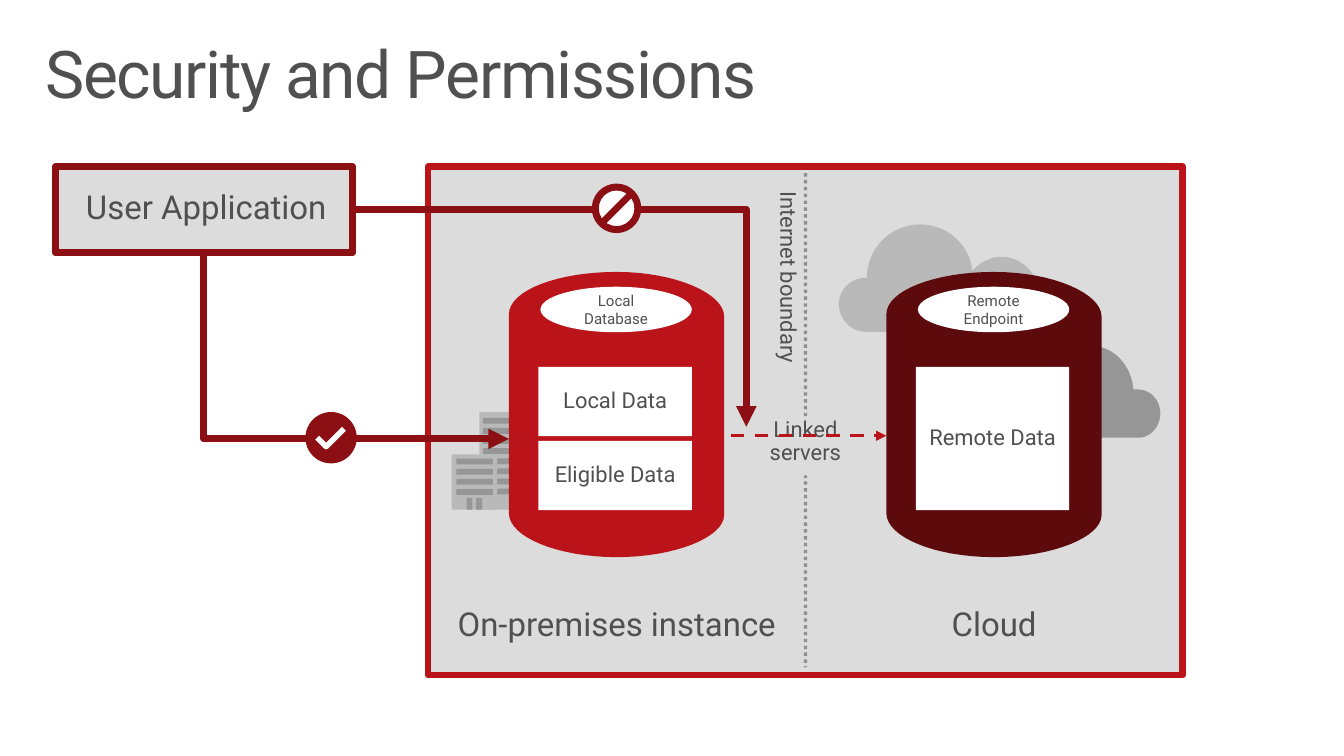
from dataclasses import dataclass
from typing import Optional

from pptx import Presentation
from pptx.dml.color import RGBColor
from pptx.enum.dml import MSO_LINE
from pptx.enum.shapes import MSO_CONNECTOR, MSO_SHAPE
from pptx.enum.text import MSO_ANCHOR, PP_ALIGN
from pptx.oxml.ns import qn
from pptx.oxml.xmlchemy import OxmlElement
from pptx.util import Cm, Pt

WHITE = RGBColor(0xFF, 0xFF, 0xFF)
PANEL_GREY = RGBColor(0xDC, 0xDC, 0xDC)
LIGHT_GREY = RGBColor(0xB9, 0xB9, 0xB9)
MID_GREY = RGBColor(0x96, 0x96, 0x96)
TEXT_GREY = RGBColor(0x50, 0x50, 0x50)
RED = RGBColor(0xBA, 0x14, 0x1A)
DARK_RED = RGBColor(0x8C, 0x0F, 0x13)
DEEP_RED = RGBColor(0x5D, 0x0A, 0x0D)


@dataclass(frozen=True)
class TextStyle:
    size: float
    align: PP_ALIGN = PP_ALIGN.CENTER
    anchor: MSO_ANCHOR = MSO_ANCHOR.MIDDLE
    margins: tuple = (0, 0, 0, 0)
    line_spacing: float = 0.9
    space_after: float = 0


@dataclass(frozen=True)
class DataBox:
    text: str
    top: float
    height: float


@dataclass(frozen=True)
class Database:
    left: float
    color: RGBColor
    name: str
    boxes: tuple


@dataclass(frozen=True)
class Building:
    left: float
    top: float
    height: float
    window_left: float
    window_top: float
    windows: int
    doors: tuple = ()


TITLE = TextStyle(48, PP_ALIGN.LEFT, MSO_ANCHOR.TOP, (0.41, 0.25, 0.41, 0.25))
ZONE = TextStyle(24, space_after=6.1)
BOUNDARY = TextStyle(16, PP_ALIGN.LEFT, MSO_ANCHOR.TOP, (0.51, 0.41, 0.51, 0.41), space_after=6.1)
USER = TextStyle(24, PP_ALIGN.LEFT, MSO_ANCHOR.TOP, (0.79, 0.51, 0.51, 0.13), 1)
LINK = TextStyle(16, anchor=MSO_ANCHOR.BOTTOM, margins=(0.51, 0.41, 0.51, 0.25), space_after=6.1)
DATABASE_NAME = TextStyle(11, line_spacing=1)
DATA = TextStyle(16)

# Outlines: a pair is a straight line, six numbers are a Bezier curve
LIGHT_CLOUD = [
    (22.25, 7.14), (22.28, 7.14), (22.28, 6.38, 22.89, 5.77, 23.65, 5.77),
    (24.33, 5.77, 24.92, 6.27, 24.99, 6.96), (25.17, 6.76, 25.45, 6.6, 25.73, 6.6),
    (26.26, 6.6, 26.7, 7.04, 26.7, 7.57), (26.7, 8.1, 26.26, 8.53, 25.73, 8.53),
    (22.25, 8.53), (21.87, 8.53, 21.56, 8.2, 21.56, 7.82),
    (21.56, 7.44, 21.87, 7.14, 22.25, 7.14)]
DARK_CLOUD = [
    (29.24, 10.01), (29.13, 10.01), (29.08, 9.4, 28.63, 8.89, 28.04, 8.89),
    (27.56, 8.89, 27.13, 9.27, 27, 9.75), (26.85, 9.6, 26.62, 9.53, 26.42, 9.53),
    (25.98, 9.53, 25.65, 9.86, 25.6, 10.29), (25.45, 10.31, 25.3, 10.39, 25.22, 10.46),
    (25.12, 10.36, 24.99, 10.29, 24.84, 10.29), (24.59, 10.29, 24.38, 10.49, 24.38, 10.77),
    (24.38, 11.02, 24.59, 11.25, 24.84, 11.25), (29.29, 11.25),
    (29.59, 11.23, 29.82, 10.95, 29.82, 10.62), (29.82, 10.29, 29.57, 10.01, 29.24, 10.01)]
CYLINDER = [
    (2.77, 0), (1.24, 0, 0, 0.48, 0, 1.09), (0, 6.2), (0, 6.81, 1.24, 7.33, 2.77, 7.33),
    (4.29, 7.33, 5.53, 6.81, 5.53, 6.25), (5.53, 1.14), (5.53, 0.56, 4.29, 0, 2.77, 0)]
CYLINDER_TOP = 6.99

prs = Presentation()
prs.slide_width, prs.slide_height = Cm(34.54), Cm(19.43)
slide = prs.slides.add_slide(prs.slide_layouts[6])
shapes = slide.shapes


def write(shape, text: str, style: TextStyle) -> None:
    frame = shape.text_frame
    left, top, right, bottom = map(Cm, style.margins)
    frame_format = {"word_wrap": True, "vertical_anchor": style.anchor, "margin_left": left,
                    "margin_top": top, "margin_right": right, "margin_bottom": bottom}
    for attribute, value in frame_format.items():
        setattr(frame, attribute, value)
    frame.text = text
    paragraph_format = {"alignment": style.align, "line_spacing": style.line_spacing,
                        "space_after": Pt(style.space_after)}
    for paragraph in frame.paragraphs:
        for attribute, value in paragraph_format.items():
            setattr(paragraph, attribute, value)
        font = paragraph.runs[0].font
        for attribute, value in {"name": "Roboto", "size": Pt(style.size)}.items():
            setattr(font, attribute, value)
        font.color.rgb = TEXT_GREY


def add_label(box: tuple, text: str, style: TextStyle):
    label = shapes.add_textbox(*map(Cm, box))
    write(label, text, style)
    return label


def paint(shape, fill: Optional[RGBColor], line: Optional[RGBColor] = None, width: float = 5):
    shape.shadow.inherit = False
    for part, color in ((shape.fill, fill), (shape.line.fill, line)):
        if color is None:
            part.background()
        else:
            part.solid()
            part.fore_color.rgb = color
    if line is not None:
        shape.line.width = Pt(width)
    return shape


def add_block(kind: MSO_SHAPE, box: tuple, fill: RGBColor, line: Optional[RGBColor] = None):
    return paint(shapes.add_shape(kind, *map(Cm, box)), fill, line)


def add_outline(path: list, fill: RGBColor, left: float = 0, top: float = 0) -> None:
    points = [path[0]]
    for step in path[1:]:
        if len(step) == 2:
            points.append(step)
            continue
        start = points[-1]
        for t in (i / 16 for i in range(1, 17)):
            points.append(tuple(
                (1 - t) ** 3 * start[axis] + 3 * (1 - t) ** 2 * t * step[axis]
                + 3 * (1 - t) * t ** 2 * step[axis + 2] + t ** 3 * step[axis + 4]
                for axis in (0, 1)))
    points = [(Cm(left + x), Cm(top + y)) for x, y in points]
    builder = shapes.build_freeform(*points[0])
    builder.add_line_segments(points[1:], close=True)
    paint(builder.convert_to_shape(), fill)


def add_line(start: tuple, end: tuple, color: RGBColor, width: float, arrow: bool = True,
             kind: MSO_CONNECTOR = MSO_CONNECTOR.STRAIGHT):
    line = shapes.add_connector(kind, *map(Cm, start + end))
    line.line.color.rgb = color
    line.line.width = Pt(width)
    if arrow:
        tail = OxmlElement("a:tailEnd")
        tail.set("type", "triangle")
        line.line._get_or_add_ln().append(tail)
    line._element.spPr.append(OxmlElement("a:effectLst"))
    return line


def add_elbow(start: tuple, end: tuple, down_first: bool = False) -> None:
    if down_first:  # a quarter turn about the centre makes the first leg vertical
        (x1, y1), (x2, y2) = start, end
        x, y, half_w, half_h = (x1 + x2) / 2, (y1 + y2) / 2, (y2 - y1) / 2, (x2 - x1) / 2
        start, end = (x + half_w, y - half_h), (x - half_w, y + half_h)
    elbow = add_line(start, end, DARK_RED, 5, kind=MSO_CONNECTOR.ELBOW)
    properties = elbow._element.spPr
    properties.find(qn("a:prstGeom")).set("prst", "bentConnector2")
    if down_first:
        properties.find(qn("a:xfrm")).set("rot", "16200000")


def add_building(building: Building) -> None:
    add_block(MSO_SHAPE.RECTANGLE, (building.left, building.top, 1.17, building.height), LIGHT_GREY)
    details = [(building.window_left, building.window_top + 0.26 * row, 0.94, 0.15)
               for row in range(building.windows)]
    details += [(door, 12.8, 0.15, 0.3) for door in building.doors]
    for detail in details:
        add_block(MSO_SHAPE.RECTANGLE, detail, MID_GREY)


def add_database(database: Database) -> None:
    add_outline(CYLINDER, database.color, database.left, CYLINDER_TOP)
    cap = add_block(MSO_SHAPE.OVAL, (database.left + 0.81, CYLINDER_TOP + 0.38, 3.89, 1.17), WHITE)
    write(cap, database.name, DATABASE_NAME)
    for box in database.boxes:
        place = (database.left + 0.76, CYLINDER_TOP + box.top, 3.94, box.height)
        write(add_block(MSO_SHAPE.RECTANGLE, place, WHITE), box.text, DATA)


# Title
title = add_label((0.76, 0.81, 33.02, 2.54), "Security and Permissions", TITLE)
title.text_frame.paragraphs[0].runs[0].font._element.set("spc", "-100")

# Panel with its two zones and the boundary between them
add_block(MSO_SHAPE.RECTANGLE, (11, 4.29, 19.4, 13.06), PANEL_GREY, RED)
for column, zone in enumerate(("On-premises instance", "Cloud")):
    add_label((11 + 9.7 * column, 15.24, 9.7, 1.7), zone, ZONE)
add_label((16.21, 7.62, 7.85, 1.42), "Internet boundary", BOUNDARY).rotation = 90
boundary = add_line((20.7, 4.45), (20.7, 17.15), TEXT_GREY, 2.5, arrow=False)
boundary.line.dash_style = MSO_LINE.ROUND_DOT
alpha = OxmlElement("a:alpha")
alpha.set("val", "55000")
boundary._element.spPr.find(".//" + qn("a:srgbClr")).append(alpha)

# Clouds and buildings
add_outline(LIGHT_CLOUD, LIGHT_GREY)
add_outline(DARK_CLOUD, MID_GREY)
add_building(Building(12.32, 10.59, 2.51, 12.42, 10.74, 8))
add_building(Building(11.61, 11.68, 1.42, 11.73, 11.79, 4, (11.99, 12.24)))

# User application and its allowed route
user = add_block(MSO_SHAPE.RECTANGLE, (1.42, 4.29, 7.65, 2.21), PANEL_GREY, DARK_RED)
write(user, "User Application", USER)
add_elbow((5.23, 6.5), (13.08, 11.28), down_first=True)

# Linked servers
link = add_block(MSO_SHAPE.RECTANGLE, (18.39, 10.77, 4.62, 1.45), PANEL_GREY)
write(link, "Linked servers", LINK)
add_line((18.16, 11.2), (22.78, 11.2), RED, 2.5).line.dash_style = MSO_LINE.DASH

# Databases
add_database(Database(13.08, RED, "Local\nDatabase", (
    DataBox("Eligible Data", 4.34, 1.78), DataBox("Local Data", 2.44, 1.78))))
add_database(Database(22.78, DEEP_RED, "Remote Endpoint", (DataBox("Remote Data", 2.44, 3.68),)))

# Blocked route with its sign
add_elbow((9.02, 5.38), (19.18, 10.97))
add_block(MSO_SHAPE.OVAL, (15.32, 4.83, 1.07, 1.07), WHITE)
blocked = add_block(MSO_SHAPE.NO_SYMBOL, (15.21, 4.72, 1.27, 1.27), DARK_RED)
blocked.adjustments[0] = 0.14
blocked.rotation = 90

# Check mark on the allowed route
add_block(MSO_SHAPE.OVAL, (7.85, 10.59, 1.32, 1.32), DARK_RED)
tick = shapes.build_freeform(Cm(8.15), Cm(11.25))
tick.add_line_segments([(Cm(8.38), Cm(11.48)), (Cm(8.84), Cm(11.02))], close=False)
paint(tick.convert_to_shape(), None, WHITE, 4)

prs.save("out.pptx")
